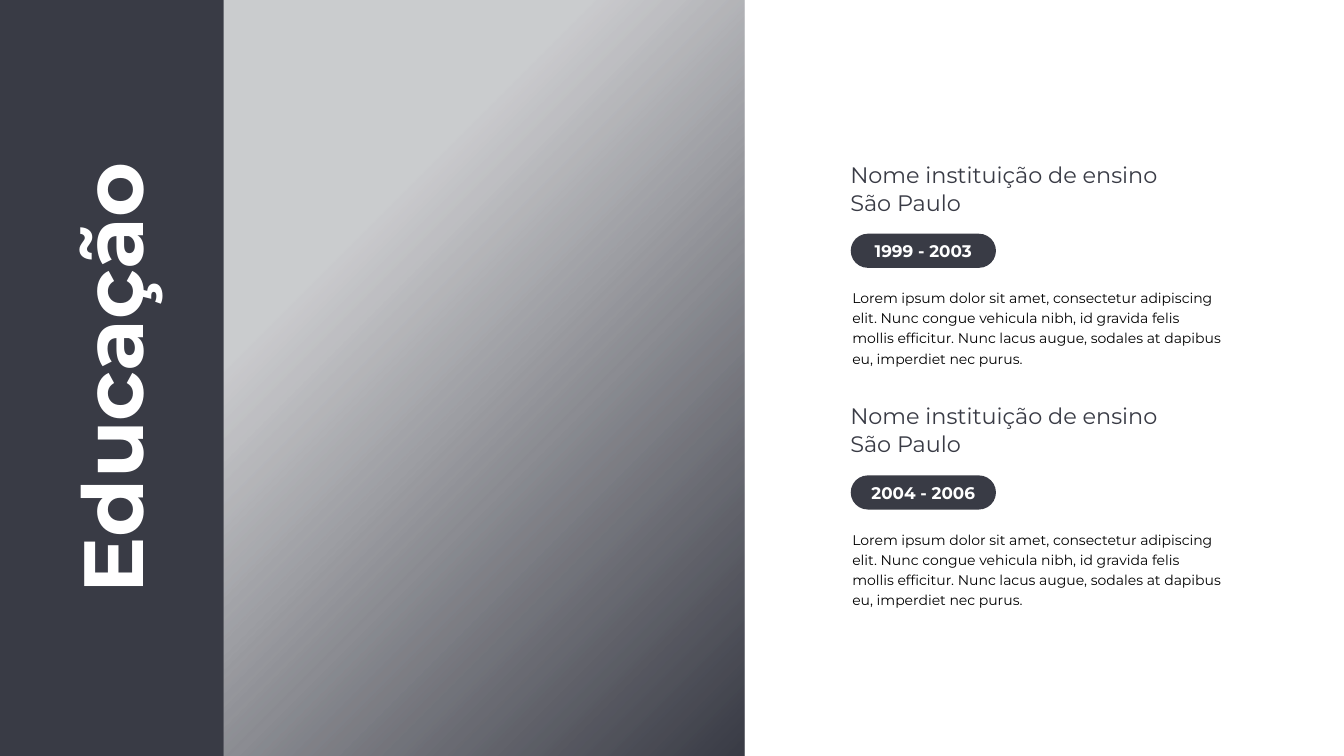
"""Build the education slide of a résumé deck."""
from dataclasses import dataclass

from lxml import etree
from pptx import Presentation
from pptx.dml.color import RGBColor
from pptx.enum import shapes, text
from pptx.oxml import ns
from pptx.util import Cm, Pt


@dataclass(frozen=True)
class Theme:
    font: str = "Montserrat"
    dark: RGBColor = RGBColor(0x39, 0x3B, 0x45)
    white: RGBColor = RGBColor(0xFF, 0xFF, 0xFF)
    black: RGBColor = RGBColor(0, 0, 0)
    title: int = 60
    heading: int = 16
    pill: int = 12
    body: int = 10


theme = Theme()


def add_block(s, kind, left, top, width, height):
    """Add a dark shape without outline or shadow."""
    sp = s.shapes.add_shape(kind, Cm(left), Cm(top), Cm(width), Cm(height))
    sp.shadow.inherit = False
    sp.fill.solid()
    sp.fill.fore_color.rgb = theme.dark
    sp.line.fill.background()
    return sp


def write(sp, words, size, color, bold=False, align=text.PP_ALIGN.LEFT, spacing=None):
    """Put formatted text in a shape and return its text frame."""
    tf = sp.text_frame
    tf.word_wrap = True
    tf.text = words
    for p in tf.paragraphs:
        p.alignment = align
        p.line_spacing = spacing
        for r in p.runs:
            r.font.name = theme.font
            r.font.size = Pt(size)
            r.font.bold = bold
            r.font.color.rgb = color
    return tf


prs = Presentation()
prs.slide_width, prs.slide_height = Cm(33.87), Cm(19.05)
s = prs.slides.add_slide(prs.slide_layouts[6])

rect = shapes.MSO_SHAPE.RECTANGLE
center, middle = text.PP_ALIGN.CENTER, text.MSO_ANCHOR.MIDDLE

panel = add_block(s, rect, 5.64, 0, 13.11, 19.05)
panel.fill.gradient()
panel.fill.gradient_angle = 315
for stop, position in zip(panel.fill.gradient_stops, (0.29, 1)):
    stop.position = position
    stop.color.rgb = theme.dark
start = panel._element.spPr.find(".//" + ns.qn("a:srgbClr"))
etree.SubElement(start, ns.qn("a:alpha"), val="26000")

add_block(s, rect, 0, 0, 5.64, 19.05)
title = s.shapes.add_textbox(Cm(-4.24), Cm(8.15), Cm(14.1), Cm(2.74))
title.rotation = 270
tf = write(title, "Educação", theme.title, theme.white, True, center, Pt(70))
tf.vertical_anchor = middle

school = "Nome instituição de ensino\nSão Paulo"
summary = (
    "Lorem ipsum dolor sit amet, consectetur adipiscing elit. "
    "Nunc congue vehicula nibh, id gravida felis mollis efficitur. "
    "Nunc lacus augue, sodales at dapibus eu, imperdiet nec purus."
)
for i, years in enumerate(("1999 - 2003", "2004 - 2006")):
    top = 4.09 + i * 6.09

    heading = s.shapes.add_textbox(Cm(21.23), Cm(top), Cm(9.8), Cm(1.63))
    tf = write(heading, school, theme.heading, theme.dark, spacing=Pt(10))
    tf.vertical_anchor = middle
    tf.margin_left = tf.margin_right = Cm(0.2)
    tf.margin_top = tf.margin_bottom = 0
    tf.paragraphs[1].space_before = Pt(10)

    pill = add_block(s, shapes.MSO_SHAPE.ROUNDED_RECTANGLE, 21.44, top + 1.8, 3.66, 0.86)
    pill.adjustments[0] = 0.5
    tf = write(pill, years, theme.pill, theme.white, True, center)
    tf.vertical_anchor = middle

    body = s.shapes.add_textbox(Cm(21.23), Cm(top + 3), Cm(9.8), Cm(2.29))
    write(body, summary, theme.body, theme.black, spacing=1.2)

prs.save("out.pptx")
